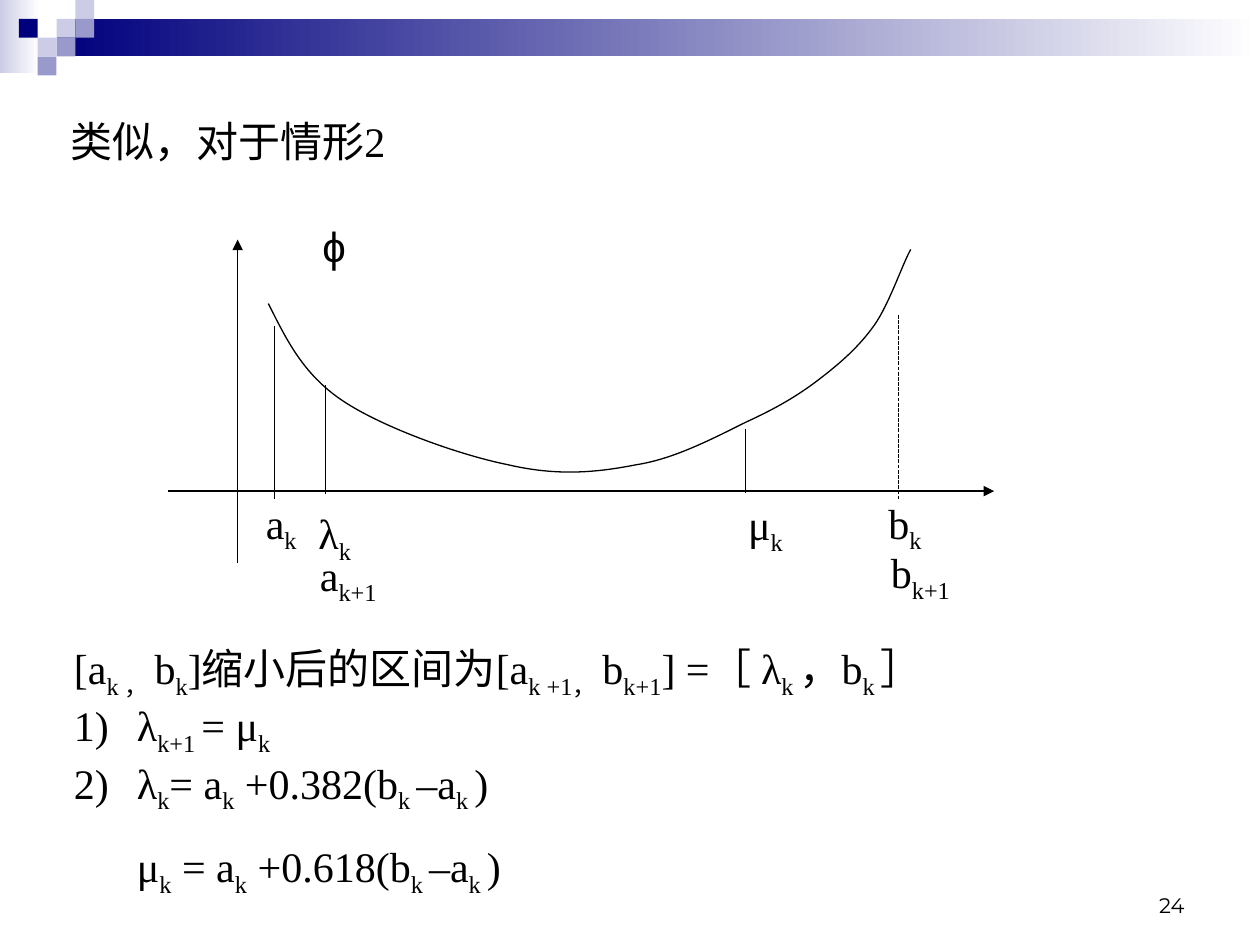
from dataclasses import dataclass

from pptx import Presentation
from pptx import util as u
from pptx.dml.color import RGBColor
from pptx.enum import dml, shapes, text
from pptx.oxml.ns import qn
from lxml import etree


@dataclass(frozen=True)
class Theme:
    ink: str = "000000"
    white: str = "FFFFFF"
    navy: str = "00007D"
    violet: str = "9999CC"
    lilac: str = "CCCCE6"
    serif: str = "Times New Roman"
    sans: str = "Arial"
    footer: str = "Montserrat"
    body_size: int = 24
    footer_size: int = 12
    hairline: float = 0.75


class SlideBuilder:
    def __init__(self, page, theme):
        self.page = page
        self.theme = theme

    def block(self, left, top, width, height, color, fade=False):
        """Draw a borderless rectangle, optionally fading to white on the right."""
        box = self.page.shapes.add_shape(
            shapes.MSO_SHAPE.RECTANGLE, *map(u.Cm, (left, top, width, height)))
        box.shadow.inherit = False
        box.line.fill.background()
        if fade:
            box.fill.gradient()
            box.fill.gradient_angle = 0
            for stop, shade in zip(box.fill.gradient_stops, (color, self.theme.white)):
                stop.color.rgb = RGBColor.from_string(shade)
        else:
            box.fill.solid()
            box.fill.fore_color.rgb = RGBColor.from_string(color)

    def outline(self, shape):
        shape.line.color.rgb = RGBColor.from_string(self.theme.ink)
        shape.line.width = u.Pt(self.theme.hairline)

    def line(self, start, end, arrow=False, dash=None):
        rule = self.page.shapes.add_connector(
            shapes.MSO_CONNECTOR.STRAIGHT, *map(u.Cm, (*start, *end)))
        self.outline(rule)
        if dash:
            rule.line.dash_style = dash
        if arrow:
            etree.SubElement(rule.line._get_or_add_ln(), qn("a:tailEnd"), type="triangle")
        etree.SubElement(rule._element.spPr, qn("a:effectLst"))

    def curve(self, points):
        """Draw cubic Bezier pieces: a start point, then three points per piece."""
        start, *rest = [(u.Cm(x), u.Cm(y)) for x, y in points]
        builder = self.page.shapes.build_freeform(*start)
        builder.add_line_segments(rest, close=False)
        shape = builder.convert_to_shape()
        shape.shadow.inherit = False
        shape.fill.background()
        self.outline(shape)
        path = next(shape._element.iter(qn("a:path")))
        segments = path.findall(qn("a:lnTo"))
        for first in range(0, len(segments), 3):
            piece = etree.SubElement(path, qn("a:cubicBezTo"))
            for segment in segments[first:first + 3]:
                piece.append(segment[0])
                path.remove(segment)

    def text(self, left, top, width, height, lines, font=None, size=None, wrap=False):
        """Add a text box; in each line, every second part between bars is a subscript."""
        box = self.page.shapes.add_textbox(*map(u.Cm, (left, top, width, height)))
        frame = box.text_frame
        frame.word_wrap = wrap
        for number, line in enumerate(lines):
            para = frame.paragraphs[0] if number == 0 else frame.add_paragraph()
            for part, content in enumerate(line.split("|")):
                if not content:
                    continue
                span = para.add_run()
                span.text = content
                span.font.name = font or self.theme.serif
                span.font.size = u.Pt(size or self.theme.body_size)
                span.font.color.rgb = RGBColor.from_string(self.theme.ink)
                if part % 2:
                    span.font._element.set("baseline", "-25000")
        return frame

    def indent(self, para, left, first=0, numbered=False):
        props = para._p.get_or_add_pPr()
        props.set("marL", str(u.Cm(left)))
        props.set("indent", str(u.Cm(first)))
        if numbered:
            etree.SubElement(props, qn("a:buAutoNum"), type="arabicParenR")


def add_banner(slide):
    theme = slide.theme
    unit = 0.38
    slide.block(0, 0, 0.79, 1.47, theme.lilac, fade=True)
    slide.block(3 * unit, unit, 25.4 - 3 * unit, 2 * unit, theme.navy, fade=True)
    tiles = [(3, 1, theme.lilac), (4, 0, theme.lilac), (4, 1, theme.violet),
             (2, 2, theme.lilac), (1, 1, theme.navy), (3, 2, theme.violet),
             (2, 3, theme.violet)]
    for column, row, color in tiles:
        slide.block(column * unit, row * unit, unit, unit, color)


def add_graph(slide):
    axis = 9.9
    slide.line((3.38, axis), (20.04, axis), arrow=True)
    slide.line((4.79, 11.35), (4.79, 4.83), arrow=True)
    slide.curve([
        (5.41, 6.12),
        (5.77, 6.83), (6.1, 7.54), (6.91, 8.08),
        (7.7, 8.61), (9.25, 9.17), (10.24, 9.37),
        (11.23, 9.6), (12.01, 9.53), (12.83, 9.37),
        (13.61, 9.25), (14.43, 8.81), (15.04, 8.51),
        (15.65, 8.23), (16.08, 7.98), (16.51, 7.65),
        (16.94, 7.32), (17.32, 6.99), (17.63, 6.55),
        (17.93, 6.12), (18.19, 5.33), (18.36, 5.03),
    ])
    for x, top, bottom, dash in [(5.54, 6.58, 10.06, None),
                                 (15.03, 8.64, 9.93, None),
                                 (6.56, 7.77, 9.96, None),
                                 (18.11, 6.35, 10.06, dml.MSO_LINE.SQUARE_DOT)]:
        slide.line((x, top), (x, bottom), dash=dash)
    slide.text(6.25, 4.32, 1.02, 1.27, ["ϕ"], font=slide.theme.sans)
    short, long = 1.4, 1.95
    for left, top, width, label in [(5.11, axis, short, "a|k"),
                                    (6.17, 10.11, short, "λ|k"),
                                    (14.83, 9.93, short, "μ|k"),
                                    (17.66, axis, short, "b|k"),
                                    (17.71, 10.9, long, "b|k+1"),
                                    (6.2, 10.95, long, "a|k+1")]:
        slide.text(left, top, width, 1.42, [label])


def add_formulas(slide):
    frame = slide.text(1.24, 12.83, 21.46, 6.43, [
        "[a|k ， |b|k|]缩小后的区间为[a|k +1， |b|k+1|] =［ λ|k |，b|k |］",
        "λ|k+1 |= μ|k",
        "λ|k|= a|k| +0.382(b|k |–a|k |)",
        "μ|k| = a|k| +0.618(b|k |–a|k |)",
    ], wrap=True)
    interval, first_rule, second_rule, last = frame.paragraphs
    hang = 1.27
    slide.indent(interval, hang, -hang)
    for para in (first_rule, second_rule):
        slide.indent(para, hang, -hang, numbered=True)
    slide.indent(last, hang)
    last.space_before = u.Pt(15)


def main():
    deck = Presentation()
    deck.slide_width, deck.slide_height = u.Cm(25.4), u.Cm(19.05)
    slide = SlideBuilder(deck.slides.add_slide(deck.slide_layouts[6]), Theme())
    add_banner(slide)
    slide.text(1.17, 2.21, 7.06, 1.27, ["类似，对于情形2"])
    add_formulas(slide)
    add_graph(slide)
    number = slide.text(18.21, 17.35, 5.92, 1.27, ["24"], font=slide.theme.footer,
                        size=slide.theme.footer_size, wrap=True)
    number.vertical_anchor = text.MSO_ANCHOR.BOTTOM
    number.paragraphs[0].alignment = text.PP_ALIGN.RIGHT
    deck.save("out.pptx")


if __name__ == "__main__":
    main()
